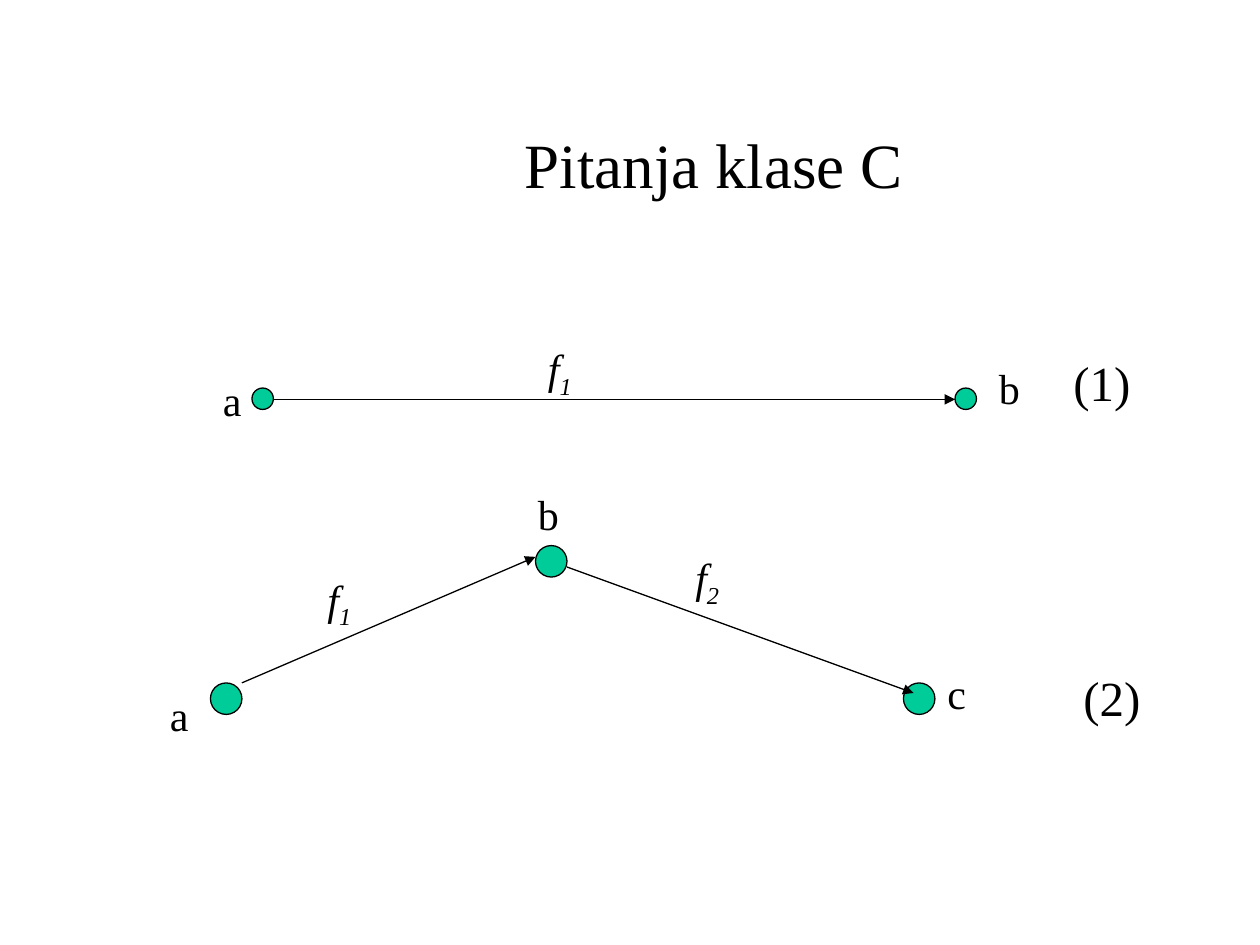
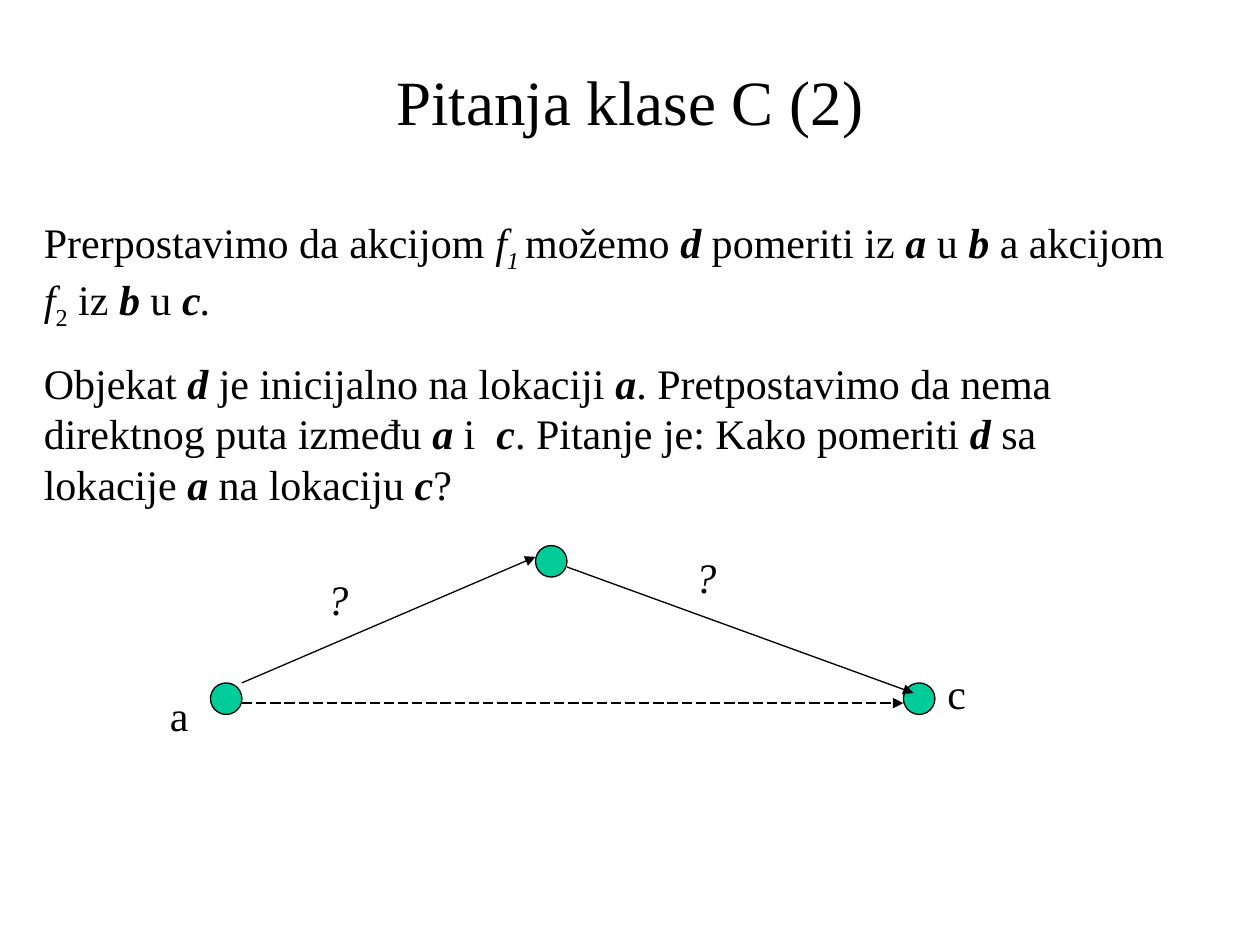
from pptx import Presentation
from pptx import util as u
from pptx.dml.color import RGBColor
from pptx.enum import dml, shapes, text
from pptx.oxml.ns import qn
from lxml import etree

COLORS = {"ink": "000000", "node": "00CC99"}
FONT = "Times New Roman"
TITLE_SIZE, NUMBER_SIZE, BODY_SIZE = 36, 28, 24
SMALL_NODE, LARGE_NODE = 0.17, 0.25

# Span styles: b = bold, i = italic, s = subscript
F1 = [("f", "i"), ("1", "is")]
F2 = [("f", "i"), ("2", "is")]
QUESTION = [("?", "i")]


def color(name):
    return RGBColor.from_string(COLORS[name])


def write_spans(para, spans, size=BODY_SIZE, align=text.PP_ALIGN.LEFT, space_before=0):
    """Fill a paragraph with a plain string or a list of (words, style)."""
    para.alignment = align
    para.space_before = u.Pt(space_before)
    for words, style in [(spans, "")] if isinstance(spans, str) else spans:
        span = para.add_run()
        span.text = words
        font = span.font
        font.name, font.size = FONT, u.Pt(size)
        font.color.rgb = color("ink")
        font.bold, font.italic = "b" in style, "i" in style
        if "s" in style:
            span._r.get_or_add_rPr().set("baseline", "-25000")


class SlideBuilder:
    def __init__(self, deck):
        self.deck = deck
        self.slide = None

    def new_slide(self):
        self.slide = self.deck.slides.add_slide(self.deck.slide_layouts[6])

    def text_box(self, left, top, width, height):
        box = self.slide.shapes.add_textbox(*map(u.Inches, (left, top, width, height)))
        box.text_frame.word_wrap = True
        return box.text_frame

    def title(self, words, left, top, width):
        frame = self.text_box(left, top, width, 1.25)
        frame.vertical_anchor = text.MSO_ANCHOR.MIDDLE
        write_spans(frame.paragraphs[0], words, size=TITLE_SIZE,
                    align=text.PP_ALIGN.CENTER)

    def body(self, paragraphs, left, top, width, height=0.5, size=BODY_SIZE):
        frame = self.text_box(left, top, width, height)
        frame.auto_size = text.MSO_AUTO_SIZE.SHAPE_TO_FIT_TEXT
        for index, spans in enumerate(paragraphs):
            para = frame.add_paragraph() if index else frame.paragraphs[0]
            write_spans(para, spans, size=size, space_before=size * 0.625)

    def label(self, spans, left, top, width, **options):
        self.body([spans], left, top, width, **options)

    def node(self, left, top, size):
        node = self.slide.shapes.add_shape(
            shapes.MSO_SHAPE.FLOWCHART_CONNECTOR,
            *map(u.Inches, (left, top, size, size)))
        node.shadow.inherit = False
        node.fill.solid()
        node.fill.fore_color.rgb = color("node")
        node.line.color.rgb = color("ink")
        node.line.width = u.Pt(0.75)

    def arrow(self, start, end, dashed=False):
        arrow = self.slide.shapes.add_connector(
            shapes.MSO_CONNECTOR.STRAIGHT, *map(u.Inches, (*start, *end)))
        arrow.line.color.rgb = color("ink")
        arrow.line.width = u.Pt(0.75)
        if dashed:
            arrow.line.dash_style = dml.MSO_LINE.LONG_DASH
        etree.SubElement(arrow.line._get_or_add_ln(), qn("a:tailEnd"), type="triangle")
        etree.SubElement(arrow._element.spPr, qn("a:effectLst"))

    def two_step_route(self, first_step, second_step):
        """Route from a up to the middle node and down to c."""
        for left, top in ((1.67, 5.42), (4.25, 4.33), (7.17, 5.42)):
            self.node(left, top, LARGE_NODE)
        self.arrow((1.92, 5.42), (4.25, 4.42))
        self.arrow((4.5, 4.5), (7.25, 5.5))
        self.label("a", 1.25, 5.42, 0.67)
        self.label("c", 7.42, 5.25, 0.42)
        self.label(first_step, 2.5, 4.5, 0.75)
        self.label(second_step, 5.42, 4.33, 0.67)


def build_routes_slide(page):
    page.new_slide()
    page.title("Pitanja klase C", 2.08, 0.67, 7.17)

    # Direct route from a to b
    page.arrow((2.08, 3.17), (7.58, 3.17))
    for left in (2, 7.58):
        page.node(left, 3.08, SMALL_NODE)
    page.label("a", 1.67, 2.92, 0.5)
    page.label("b", 7.83, 2.83, 0.5)
    page.label(F1, 4.25, 2.67, 0.67)

    # Route through b
    page.label("b", 4.17, 3.83, 0.83)
    page.two_step_route(F1, F2)

    # Route numbers
    page.label("(1)", 8.42, 2.75, 1, height=0.57, size=NUMBER_SIZE)
    page.label("(2)", 8.5, 5.25, 1, height=0.57, size=NUMBER_SIZE)


def build_question_slide(page):
    page.new_slide()
    page.title("Pitanja klase C (2)", 0.75, 0.17, 8.5)

    # Assumptions and question
    assumption = [
        ("Prerpostavimo da akcijom ", ""), ("f", "i"), ("1 ", "is"),
        ("možemo ", ""), ("d", "bi"), (" pomeriti iz ", ""), ("a", "bi"),
        (" u ", ""), ("b", "bi"), (" a akcijom ", ""), ("f", "i"), ("2", "s"),
        (" iz ", ""), ("b", "bi"), (" u ", ""), ("c", "bi"), (".", "i")]
    question = [
        ("Objekat ", ""), ("d", "bi"), (" je inicijalno na lokaciji ", ""),
        ("a", "bi"), (". Pretpostavimo da nema direktnog puta između ", ""),
        ("a", "bi"), (" i ", ""), (" c", "bi"),
        (". Pitanje je: Kako pomeriti ", ""), ("d", "bi"),
        (" sa lokacije ", ""), ("a", "bi"), (" na lokaciju ", ""),
        ("c", "bi"), ("?", "")]
    page.body([assumption, question], 0.25, 1.67, 9.17, height=2.42)

    # Unknown steps and the missing direct path
    page.two_step_route(QUESTION, QUESTION)
    page.arrow((1.92, 5.58), (7.17, 5.58), dashed=True)


def main():
    deck = Presentation()
    deck.slide_width, deck.slide_height = u.Inches(10), u.Inches(7.5)
    page = SlideBuilder(deck)
    build_routes_slide(page)
    build_question_slide(page)
    deck.save("out.pptx")


if __name__ == "__main__":
    main()
